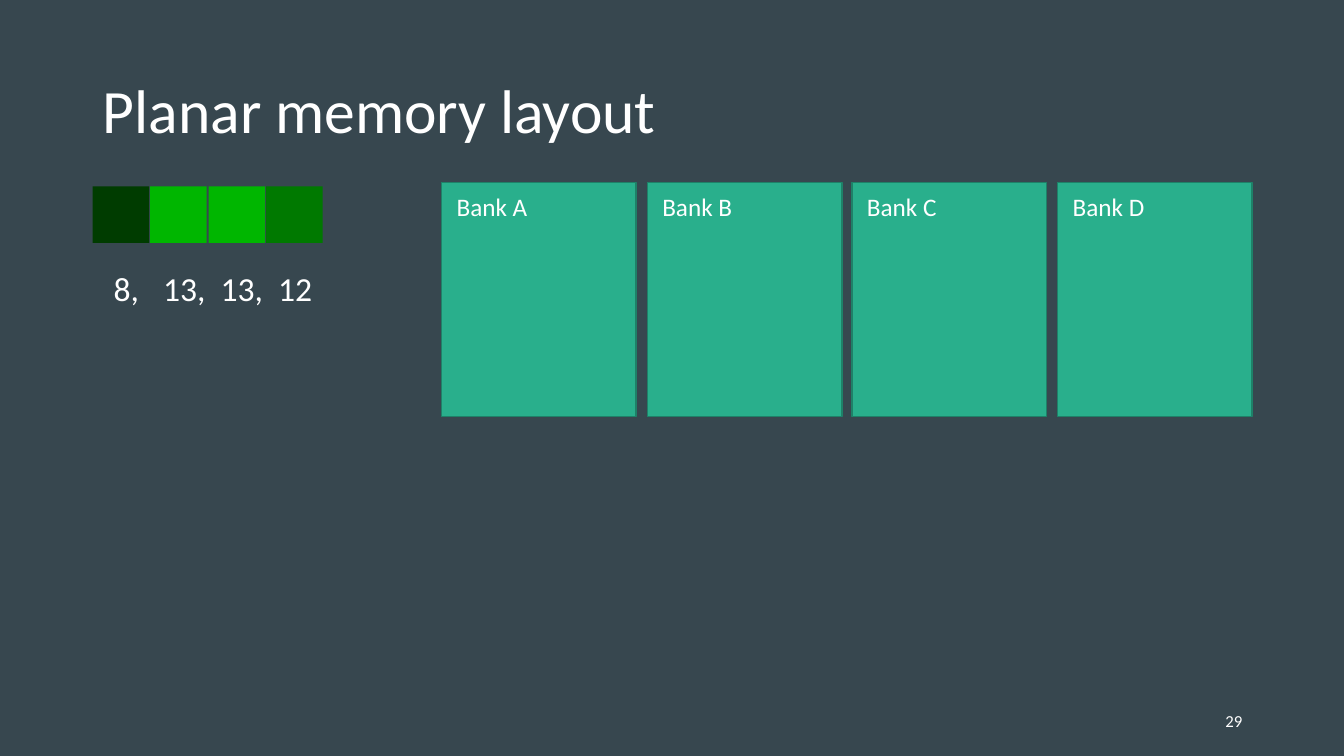
from dataclasses import dataclass

from lxml.etree import SubElement
from pptx import Presentation
from pptx.dml.color import RGBColor
from pptx.enum.shapes import MSO_SHAPE as Preset
from pptx.enum.text import MSO_ANCHOR as Anchor
from pptx.enum.text import MSO_AUTO_SIZE as AutoSize
from pptx.enum.text import PP_ALIGN as Align
from pptx.oxml.ns import qn
from pptx.util import Emu, Pt

EMU_PER_PX = 9144
FONT_NAME = "Calibri"
WHITE = "FFFFFF"
BACKGROUND = "37474F"
BANK_FILL = "29AF8C"
BANK_LINE = "1E8168"
PIXEL_FILLS = ["003C00", "00B600", "00B600", "007900"]
PIXEL_VALUES = ["8,", "13,", "13,", "12"]
VALUE_TABS = [49, 106, 163]
BANK_NAMES = ["Bank A", "Bank B", "Bank C", "Bank D"]


@dataclass(frozen=True)
class Box:
    left: int
    top: int
    width: int
    height: int

    def lengths(self) -> list[Emu]:
        return [px(value) for value in (self.left, self.top, self.width, self.height)]


@dataclass(frozen=True)
class Row:
    first: Box
    last_left: int
    count: int

    def boxes(self) -> list[Box]:
        first = self.first
        pitch = (self.last_left - first.left) / (self.count - 1)
        return [
            Box(first.left + round(index * pitch), first.top, first.width, first.height)
            for index in range(self.count)
        ]


PIXEL_ROW = Row(Box(92, 185, 56, 56), 264, len(PIXEL_FILLS))
BANK_ROW = Row(Box(438, 181, 193, 232), 1049, len(BANK_NAMES))


def px(value: int) -> Emu:
    return Emu(value * EMU_PER_PX)


def colour(value: str) -> RGBColor:
    return RGBColor.from_string(value)


def write(shape, text: str, size: int, tabs=(), align=Align.LEFT, **frame_format) -> None:
    frame = shape.text_frame
    frame.text = text
    for name, value in frame_format.items():
        setattr(frame, name, value)
    paragraph = frame.paragraphs[0]
    if tabs:
        tab_list = SubElement(paragraph._p.get_or_add_pPr(), qn("a:tabLst"))
        for position in tabs:
            SubElement(tab_list, qn("a:tab"), pos=str(px(position)), algn="l")
    paragraph.alignment = align
    font = paragraph.runs[0].font
    for name, value in {"name": FONT_NAME, "size": Pt(size)}.items():
        setattr(font, name, value)
    font.color.rgb = colour(WHITE)


def add_text(shapes, box: Box, text: str, size: int, **text_format) -> None:
    write(shapes.add_textbox(*box.lengths()), text, size, **text_format)


def add_rectangle(shapes, box: Box, fill: str, line: str | None = None) -> None:
    shape = shapes.add_shape(Preset.RECTANGLE, *box.lengths())
    shape.shadow.inherit = False
    shape.fill.solid()
    shape.fill.fore_color.rgb = colour(fill)
    if line is None:
        shape.line.fill.background()
    else:
        shape.line.color.rgb = colour(line)
        shape.line.width = Pt(1)


def add_title(slide, text: str) -> None:
    title = slide.shapes.title
    title.left, title.top, title.width, title.height = Box(92, 40, 1150, 145).lengths()
    write(
        title, text, 44,
        vertical_anchor=Anchor.MIDDLE, word_wrap=True, auto_size=AutoSize.NONE,
    )
    title.text_frame.paragraphs[0].line_spacing = 0.9


def add_pixels(slide) -> None:
    for box, fill in zip(PIXEL_ROW.boxes(), PIXEL_FILLS):
        add_rectangle(slide.shapes, box, fill)
    add_text(
        slide.shapes, Box(103, 261, 217, 50), "\t".join(PIXEL_VALUES), 24,
        tabs=VALUE_TABS, word_wrap=False, auto_size=AutoSize.SHAPE_TO_FIT_TEXT,
    )


def add_banks(slide) -> None:
    shapes = slide.shapes.add_group_shape().shapes
    for box in BANK_ROW.boxes():
        add_rectangle(shapes, box, BANK_FILL, BANK_LINE)
    for box, name in zip(BANK_ROW.boxes(), BANK_NAMES):
        add_text(
            shapes, Box(box.left + 5, box.top + 4, 91, 40), name, 18,
            word_wrap=False, auto_size=AutoSize.SHAPE_TO_FIT_TEXT,
        )


def main() -> None:
    presentation = Presentation()
    presentation.slide_width, presentation.slide_height = px(1333), px(750)
    slide = presentation.slides.add_slide(presentation.slide_layouts[5])
    slide.background.fill.solid()
    slide.background.fill.fore_color.rgb = colour(BACKGROUND)
    add_title(slide, "Planar memory layout")
    add_pixels(slide)
    add_banks(slide)
    add_text(
        slide.shapes, Box(942, 695, 300, 40), "29", 12,
        align=Align.RIGHT, vertical_anchor=Anchor.MIDDLE, word_wrap=True,
    )
    presentation.save("out.pptx")


if __name__ == "__main__":
    main()
